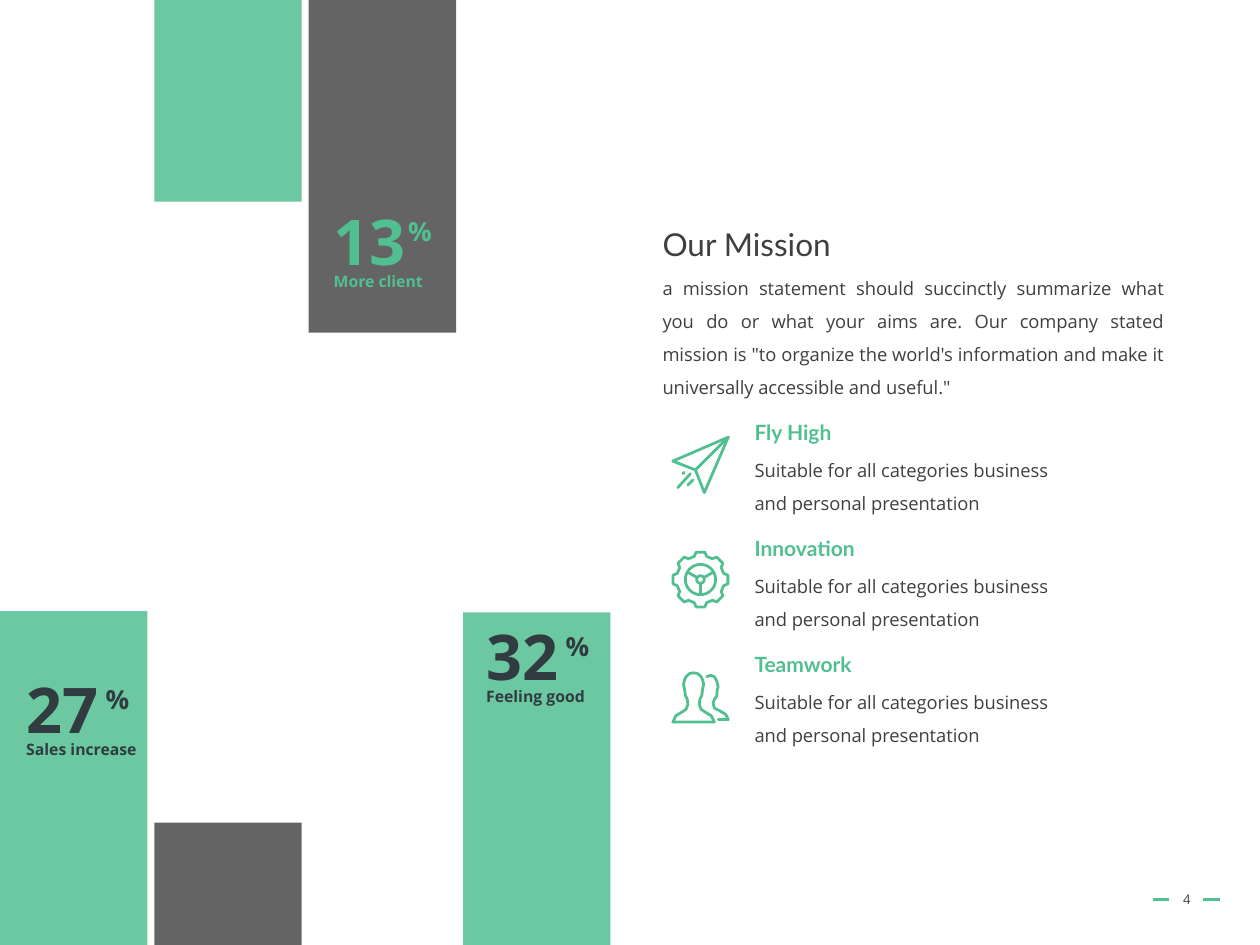
from math import cos, sin, radians
from pptx import Presentation
from pptx.dml.color import RGBColor
from pptx.enum.shapes import MSO_CONNECTOR, MSO_SHAPE
from pptx.enum.text import MSO_ANCHOR, PP_ALIGN as AL
from pptx.oxml.ns import qn
from pptx.util import Inches, Pt
from lxml.etree import SubElement

GREEN, GREY, INK, TEXT = "52BF90", "494949", "313C41", "3F3F3F"
W, H = 10, 7.5
COL, BAR_W = 1.225, 1.17      # bar pitch and bar width
ITEM_TOP, ITEM_ROW = 3.28, 0.92
rgb = RGBColor.from_string

prs = Presentation()
prs.slide_width, prs.slide_height = Inches(W), Inches(H)
s = prs.slides.add_slide(prs.slide_layouts[6])


def add_text(text, x, y, w, h, size, color, font="Open Sans", bold=False,
             wrap=True, align=AL.LEFT, spacing=None, anchor=MSO_ANCHOR.TOP):
    tf = s.shapes.add_textbox(Inches(x), Inches(y), Inches(w), Inches(h)).text_frame
    tf.word_wrap, tf.vertical_anchor = wrap, anchor
    p = tf.paragraphs[0]
    p.text, p.alignment, p.line_spacing = text, align, spacing
    p.font.name, p.font.size, p.font.bold = font, Pt(size), bold
    p.font.color.rgb = rgb(color)


def add_icon(strokes):
    """One outline made of several strokes, each a list of points in inches."""
    paths = [[(Inches(x), Inches(y)) for x, y in stroke] for stroke in strokes]
    fb = s.shapes.build_freeform(*paths[0][0], scale=1.0)
    for i, pts in enumerate(paths):
        if i:
            fb.move_to(*pts[0])
        fb.add_line_segments(pts[1:], close=pts[0] == pts[-1])
    sp = fb.convert_to_shape()
    sp.shadow.inherit = False
    sp.fill.background()
    sp.line.color.rgb, sp.line.width = rgb(GREEN), Pt(1.6)
    ln = sp.line._get_or_add_ln()
    ln.set("cap", "rnd")
    SubElement(ln, qn("a:round"))


# Page number between two dashes
for x in (9.15, 9.55):
    c = s.shapes.add_connector(MSO_CONNECTOR.STRAIGHT, Inches(x), Inches(7.14),
                               Inches(x + 0.13), Inches(7.14))
    c.line.color.rgb, c.line.width = rgb(GREEN), Pt(1.75)
    SubElement(c._element.spPr, qn("a:effectLst"))
add_text("4", 9.2, 6.94, 0.44, 0.4, 7.5, TEXT, align=AL.CENTER, anchor=MSO_ANCHOR.MIDDLE)

# Translucent bars: column, top, bottom, colour
for col, top, bottom, color in [(0, 4.85, H, GREEN), (1, 6.53, H, GREY), (1, 0, 1.6, GREEN),
                                (2, 0, 2.64, GREY), (3, 4.86, H, GREEN)]:
    sp = s.shapes.add_shape(MSO_SHAPE.RECTANGLE, Inches(col * COL), Inches(top),
                            Inches(BAR_W), Inches(bottom - top))
    sp.shadow.inherit = False
    sp.fill.solid()
    sp.fill.fore_color.rgb = rgb(color)
    sp.line.fill.background()
    fill = sp._element.spPr.find(qn("a:solidFill"))
    SubElement(fill[0], qn("a:alpha"), val="85000")

# Headline figures: number, label, colour, left, top, offset of the percent sign
for number, label, color, x, y, dx in [("27", "Sales increase", INK, 0.11, 5.27, 0.63),
                                       ("13", "More client", GREEN, 2.55, 1.56, 0.59),
                                       ("32", "Feeling good", INK, 3.76, 4.85, 0.63)]:
    add_text(number, x, y, 0.78, 0.71, 36, color, bold=True, wrap=False)
    add_text(label, x, y + 0.55, 1.08, 0.25, 9, color, bold=True)
    add_text("%", x + dx, y + 0.1, 0.39, 0.35, 15, color, bold=True, wrap=False)

# Mission statement
add_text("Our Mission", 5.16, 1.74, 3.25, 0.4, 18, TEXT, font="Lato")
add_text("a mission statement should succinctly summarize what you do or what your aims are. "
         "Our company stated mission is \"to organize the world's information and make it "
         "universally accessible and useful.\"",
         5.16, 2.06, 4.18, 1.25, 10.5, TEXT, align=AL.JUSTIFY, spacing=1.5)

# Values
for i, (name, w) in enumerate([("Fly High", 0.82), ("Innovation", 1.01), ("Teamwork", 1)]):
    y = ITEM_TOP + i * ITEM_ROW
    add_text(name, 5.89, y, w, 0.3, 12, GREEN, font="Lato", bold=True, wrap=False)
    add_text("Suitable for all categories business and personal presentation",
             5.89, y + 0.23, 2.61, 0.63, 10.5, TEXT, spacing=1.5)

# Paper plane
nose, fold = (5.78, 3.47), (5.52, 3.73)
add_icon([[nose, (5.34, 3.66), fold, (5.59, 3.91), nose], [fold, nose],
          [(5.38, 3.87), (5.48, 3.76)], [(5.46, 3.85), (5.5, 3.81)],
          [(5.42, 3.76), (5.43, 3.75)]])

# Gear: eight teeth, a ring, a hub and three spokes
gear = [[(5.56 + r * cos(radians(a)), 4.6 + r * sin(radians(a))) for r, a in stroke]
        for stroke in [
            [(r, t + d) for t in range(0, 360, 45)
             for r, d in ((0.19, -15), (0.22, -9), (0.22, 9), (0.19, 15))],
            [(0.12, a) for a in range(0, 360, 10)],
            [(0.03, a) for a in range(0, 360, 20)],
            *[[(0.03, a), (0.12, a)] for a in (90, 210, 330)]]]
add_icon([st + st[:1] if len(st) > 2 else st for st in gear])

# Two people: the front one is symmetrical about its axis
axis = 5.505
half = [(0, 5.34), (0.03, 5.345), (0.055, 5.365), (0.07, 5.39), (0.08, 5.43), (0.07, 5.48),
        (0.065, 5.52), (0.05, 5.55), (0.045, 5.59), (0.06, 5.63), (0.09, 5.65),
        (0.14, 5.68), (0.165, 5.73)]
front = [(axis - x, y) for x, y in half[::-1]] + [(axis + x, y) for x, y in half[1:]]
back = [(5.61, 5.37), (5.64, 5.36), (5.67, 5.37), (5.69, 5.41), (5.7, 5.45), (5.69, 5.48),
        (5.69, 5.52), (5.67, 5.55), (5.66, 5.58), (5.67, 5.62), (5.71, 5.64),
        (5.76, 5.67), (5.78, 5.71), (5.7, 5.71)]
add_icon([front + front[:1], back])

prs.save("out.pptx")
